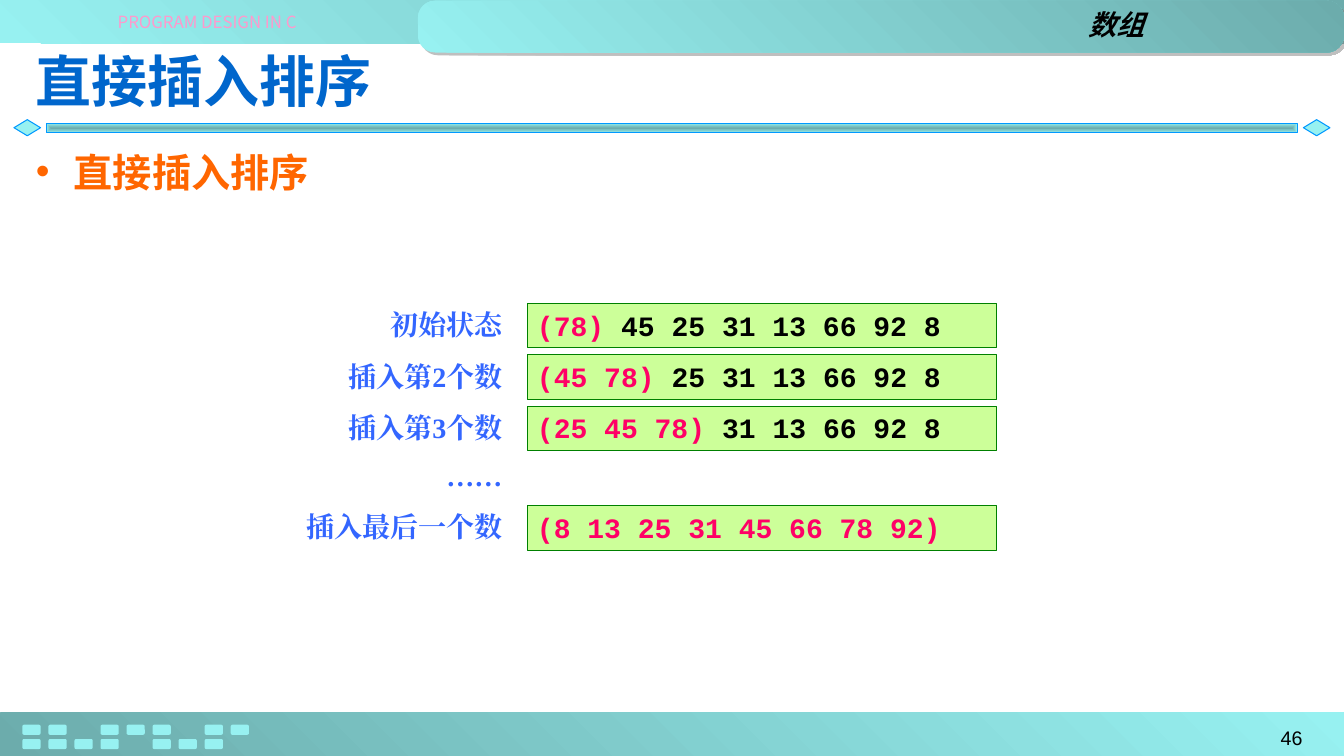
from dataclasses import dataclass

from lxml.etree import SubElement
from pptx import Presentation
from pptx.dml.color import RGBColor as RGB
from pptx.enum.shapes import MSO_SHAPE as Kind
from pptx.enum.text import MSO_ANCHOR as Anchor, MSO_AUTO_SIZE as Auto, PP_ALIGN as Align
from pptx.oxml import parse_xml
from pptx.oxml.ns import nsdecls, qn
from pptx.util import Pt


@dataclass(frozen=True)
class Theme:
    aqua: str = "97F1F1"
    edge: str = "0099FF"
    shade: str = "808080"
    lime: str = "CCFF99"
    green: str = "008000"
    # Text styles: font, size, colour, bold, italic
    title: tuple = ("Noto Sans CJK JP", 40, "0066CC", True, False)
    body: tuple = ("Arial", 28, "FF6600", True, False)
    topic: tuple = ("Arial", 20, "000000", True, True)
    course: tuple = ("Noto Sans CJK SC", 12, "FF99CC", False, False)
    page: tuple = ("Arial", 14, "000000", False, False)
    label: tuple = ("Times New Roman", 20, "3366FF", True, False)
    done: tuple = ("Courier New", 20, "FF0066", True, False)
    rest: tuple = ("Courier New", 20, "000000", True, False)


T = Theme()
LINEAR = '<a:lin ang="18900000" scaled="1"/>'
CENTRE = ('<a:path path="rect"><a:fillToRect l="50000" t="50000" '
          'r="50000" b="50000"/></a:path>')

# Row top, label, sorted part, remaining part
ROWS = [
    (216.5, "初始状态", "(78)", " 45 25 31 13 66 92 8"),
    (253.5, "插入第2个数", "(45 78)", " 25 31 13 66 92 8"),
    (290, "插入第3个数", "(25 45 78)", " 31 13 66 92 8"),
    (324.5, "……", "", ""),
    (361, "插入最后一个数", "(8 13 25 31 45 66 78 92)", ""),
]
# Filled columns in each line of footer tiles
TILES = [(0, 1, 3, 4, 5, 7, 8), (0, 1, 2, 3, 5, 6, 7)]


def place(item, box):
    for key, val in zip(("left", "top", "width", "height"), box):
        setattr(item, key, Pt(val))


def write(item, parts, align=Align.LEFT, anchor=Anchor.TOP, wrap=True):
    frame = item.text_frame
    form = {"word_wrap": wrap, "auto_size": Auto.NONE, "vertical_anchor": anchor}
    for key, val in form.items():
        setattr(frame, key, val)
    para = frame.paragraphs[0]
    para.alignment = align
    for text, style in parts:
        name, size, color, bold, slant = style
        run = para.add_run()
        run.text = text
        run.font.color.rgb = RGB.from_string(color)
        form = {"name": name, "size": Pt(size), "bold": bold, "italic": slant}
        for key, val in form.items():
            setattr(run.font, key, val)
        SubElement(run.font._element, qn("a:ea"), typeface=name)


def label(slide, box, text, style, **form):
    item = slide.shapes.add_textbox(*map(Pt, box))
    write(item, [(text, style)], **form)


def shape(slide, kind, box, fill=None, line=None, round=None):
    item = slide.shapes.add_shape(kind, *map(Pt, box))
    item.shadow.inherit = False
    if fill:
        item.fill.solid()
        item.fill.fore_color.rgb = RGB.from_string(fill)
    if line:
        item.line.color.rgb = RGB.from_string(line)
        item.line.width = Pt(0.75)
    else:
        item.line.fill.background()
    if round:
        item.adjustments[0] = round
    return item


def blend(item, dark, way=LINEAR):
    """Fill with a two-stop gradient; dark is the index of the shaded stop."""
    stops = ""
    for i in range(2):
        tone = '<a:shade val="46275"/>' if i == dark else ""
        stops += (f'<a:gs pos="{i * 100000}"><a:srgbClr val="{T.aqua}">'
                  f'{tone}</a:srgbClr></a:gs>')
    grad = parse_xml(f'<a:gradFill {nsdecls("a")} rotWithShape="1">'
                     f'<a:gsLst>{stops}</a:gsLst>{way}</a:gradFill>')
    item._element.spPr.find(qn("a:prstGeom")).addnext(grad)


def cast(item):
    """Give the header tab its hard grey shadow."""
    effect = item._element.spPr.find(qn("a:effectLst"))
    drop = SubElement(effect, qn("a:outerShdw"), dist=str(Pt(2.8)),
                      dir="2700000", algn="ctr", rotWithShape="0")
    color = SubElement(drop, qn("a:srgbClr"), val=T.shade)
    SubElement(color, qn("a:alpha"), val="50000")


def frame(slide):
    # Bands and header tab
    blend(shape(slide, Kind.RECTANGLE, (0, 509, 960, 31)), 0)
    blend(shape(slide, Kind.RECTANGLE, (0, 0, 960, 31)), 1)
    tab = shape(slide, Kind.ROUNDED_RECTANGLE, (298.5, 0.5, 661.5, 37), round=0.333)
    blend(tab, 1)
    cast(tab)

    # Rule under the title
    for left in (10, 931):
        shape(slide, Kind.DIAMOND, (left, 85.5, 19, 11.5), T.aqua, T.edge)
    bar = shape(slide, Kind.RECTANGLE, (33, 88, 893.5, 7), line=T.edge)
    blend(bar, 0, CENTRE)

    # Footer tiles
    for row, cols in enumerate(TILES):
        for col in cols:
            box = (16 + 18.6 * col, 517.7 + 10.2 * row, 13, 7.2)
            shape(slide, Kind.ROUNDED_RECTANGLE, box, T.aqua, round=0.167)

    # Running texts
    label(slide, (21.5, 5, 253, 16), "PROGRAM DESIGN IN C", T.course,
          align=Align.CENTER, wrap=False)
    label(slide, (363, 1.5, 461.5, 31), "数组", T.topic, align=Align.RIGHT)
    label(slide, (805, 515, 132.5, 20), "46", T.page, align=Align.RIGHT)


def step(slide, top, name, done, rest):
    label(slide, (209, top - 0.5, 157, 31), name, T.label, align=Align.RIGHT)
    if done:
        box = shape(slide, Kind.RECTANGLE, (376.5, top, 335.5, 32), T.lime, T.green)
        parts = [(done, T.done), (rest, T.rest)]
        write(box, [part for part in parts if part[0]])


def main():
    deck = Presentation()
    deck.slide_width, deck.slide_height = Pt(960), Pt(540)
    slide = deck.slides.add_slide(deck.slide_layouts[1])
    frame(slide)

    # Title and list
    title, body = slide.placeholders
    place(title, (18.5, 26, 922.5, 62.5))
    write(title, [("直接插入排序", T.title)], anchor=Anchor.MIDDLE)
    place(body, (18.5, 102, 922.5, 397.5))
    write(body, [("直接插入排序", T.body)])

    # Sorting steps
    for row in ROWS:
        step(slide, *row)
    deck.save("out.pptx")


if __name__ == "__main__":
    main()
